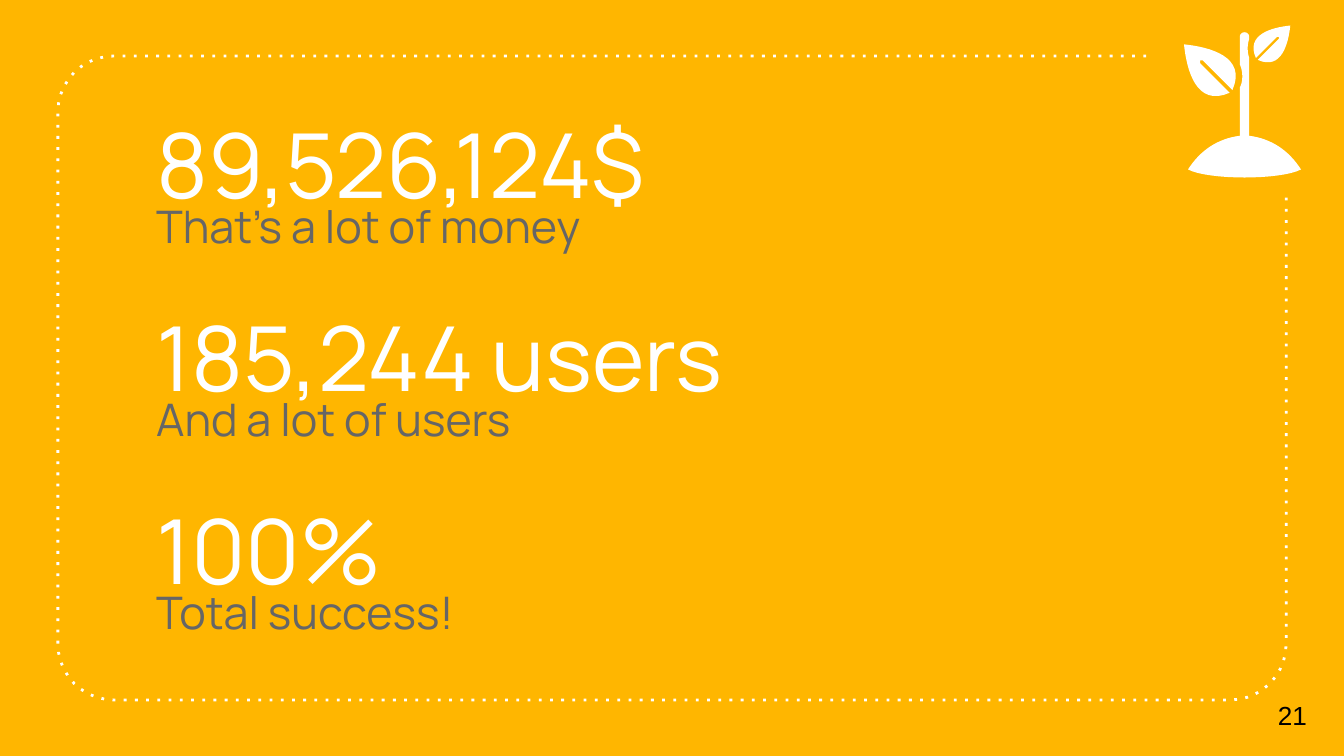
from dataclasses import dataclass
from math import cos, radians, sin

from pptx import Presentation
from pptx.dml.color import RGBColor
from pptx.enum.dml import MSO_LINE
from pptx.enum.text import MSO_ANCHOR, MSO_AUTO_SIZE, PP_ALIGN
from pptx.util import Pt


@dataclass(frozen=True)
class Theme:
    background: RGBColor = RGBColor(0xFF, 0xB6, 0x00)
    light: RGBColor = RGBColor(0xFF, 0xFF, 0xFF)
    muted: RGBColor = RGBColor(0x66, 0x66, 0x66)
    dark: RGBColor = RGBColor(0x00, 0x00, 0x00)
    font: str = "Manrope"
    number_font: str = "Arial"
    figure_size: int = 48
    caption_size: int = 24
    number_size: int = 14
    frame_line: float = 1.5
    inset: float = 7.2


THEME = Theme()

FIGURES = [
    ("89,526,124$", "That’s a lot of money"),
    ("185,244 users", "And a lot of users"),
    ("100%", "Total success!"),
]


def arc(cx, cy, radius, start, sweep, steps=10):
    angles = [radians(start + sweep * i / steps) for i in range(steps + 1)]
    return [(cx + radius * cos(a), cy - radius * sin(a)) for a in angles]


def curve(start, pull_start, pull_end, end, steps=16):
    points = []
    for i in range(steps + 1):
        t = i / steps
        u = 1 - t
        weights = (u**3, 3 * u * u * t, 3 * u * t * t, t**3)
        controls = (start, pull_start, pull_end, end)
        x = sum(w * c[0] for w, c in zip(weights, controls))
        y = sum(w * c[1] for w, c in zip(weights, controls))
        points.append((x, y))
    return points


def add_outline(s, points, close):
    first, *rest = [(Pt(x), Pt(y)) for x, y in points]
    builder = s.shapes.build_freeform(*first)
    builder.add_line_segments(rest, close=close)
    sp = builder.convert_to_shape()
    sp.shadow.inherit = False
    return sp


def add_frame(s, left, top, width, height, radius, gap):
    right, bottom = left + width, top + height
    near_x, far_x = left + radius, right - radius
    near_y, far_y = top + radius, bottom - radius
    corners = [(near_x, near_y), (near_x, far_y), (far_x, far_y)]

    points = [(right - gap, top)]
    for i, (cx, cy) in enumerate(corners, start=1):
        points += arc(cx, cy, radius, 90 * i, 90)
    points.append((right, top + gap))

    sp = add_outline(s, points, close=False)
    sp.fill.background()
    sp.line.color.rgb = THEME.light
    sp.line.width = Pt(THEME.frame_line)
    sp.line.dash_style = MSO_LINE.ROUND_DOT
    for dash in sp.line._ln.xpath("a:prstDash"):
        dash.set("val", "dot")


def leaf(tip_x, tip_y, scale, direction):
    lower_edge = curve((0, 0), (2, 19), (9, 47), (34, 36))
    upper_edge = [(y, x) for x, y in reversed(lower_edge)]
    vein = [(13, 15), (12, 14), (12, 12), (14, 12), (15, 13)]
    return [(tip_x + direction * scale * x, tip_y + scale * y)
            for x, y in lower_edge + vein + upper_edge]


def stem_and_soil(axis, half_stem):
    stem_left, stem_right = axis - half_stem, axis + half_stem
    slope = curve((3, 107), (12, 93), (25, 84), (stem_left, 82))
    far_slope = [(2 * axis - x, y) for x, y in reversed(slope)]
    large_notch = curve((stem_left, 46), (stem_left + 2.5, 42),
                        (stem_left + 2.5, 34), (stem_left, 29))
    cap = arc(axis, 5 + half_stem, half_stem, 180, -180)
    small_notch = curve((stem_right, 10), (stem_right - 1.5, 14),
                        (stem_right - 1.5, 20), (stem_right, 24))
    underside = curve(far_slope[-1], (72, 115), (18, 115), slope[0])
    return slope + large_notch + cap + small_notch + far_slope + underside


def add_plant(s, left, top, width):
    unit = width / 87
    outlines = [
        leaf(tip_x=79, tip_y=0, scale=0.71, direction=-1),
        stem_and_soil(axis=45, half_stem=3.5),
        leaf(tip_x=0, tip_y=14, scale=1, direction=1),
    ]
    for outline in outlines:
        points = [(left + x * unit, top + y * unit) for x, y in outline]
        sp = add_outline(s, points, close=True)
        sp.fill.solid()
        sp.fill.fore_color.rgb = THEME.light
        sp.line.fill.background()


def set_text(sp, text, size, color, font=THEME.font, anchor=MSO_ANCHOR.TOP):
    tf = sp.text_frame
    tf.text = text
    tf.word_wrap = True
    tf.auto_size = MSO_AUTO_SIZE.NONE
    tf.vertical_anchor = anchor
    tf.margin_left = tf.margin_right = Pt(THEME.inset)
    tf.margin_top = tf.margin_bottom = Pt(THEME.inset)
    p = tf.paragraphs[0]
    p.alignment = PP_ALIGN.LEFT
    p.line_spacing = 1.0
    p.space_before = Pt(0)
    r = p.runs[0]
    r.font.name = font
    r.font.size = Pt(size)
    r.font.color.rgb = color


def add_figures(s, left, top, width, pitch):
    figure_height, caption_offset, caption_height = 70.5, 48, 36.7
    for i, (figure, caption) in enumerate(FIGURES):
        y = top + i * pitch
        box = (Pt(left), Pt(y), Pt(width), Pt(figure_height))
        if i == 0:
            sp = s.shapes.title
            sp.left, sp.top, sp.width, sp.height = box
        else:
            sp = s.shapes.add_textbox(*box)
        set_text(sp, figure, THEME.figure_size, THEME.light)
        sp = s.shapes.add_textbox(Pt(left), Pt(y + caption_offset),
                                  Pt(width), Pt(caption_height))
        set_text(sp, caption, THEME.caption_size, THEME.muted)


def add_page_number(s, left, top, width, height):
    sp = s.shapes.add_textbox(Pt(left), Pt(top), Pt(width), Pt(height))
    set_text(sp, "21", THEME.number_size, THEME.dark, THEME.number_font,
             MSO_ANCHOR.MIDDLE)


def main():
    prs = Presentation()
    prs.slide_width, prs.slide_height = Pt(720), Pt(405)
    s = prs.slides.add_slide(prs.slide_layouts[5])
    s.background.fill.solid()
    s.background.fill.fore_color.rgb = THEME.background
    add_frame(s, 31, 30, 658, 345, radius=30, gap=75)
    add_figures(s, 76.6, 51.2, 566.6, pitch=103.3)
    add_page_number(s, 677.5, 361.5, 42.5, 43)
    add_plant(s, 634.3, 13.7, 62.7)
    prs.save("out.pptx")


if __name__ == "__main__":
    main()
